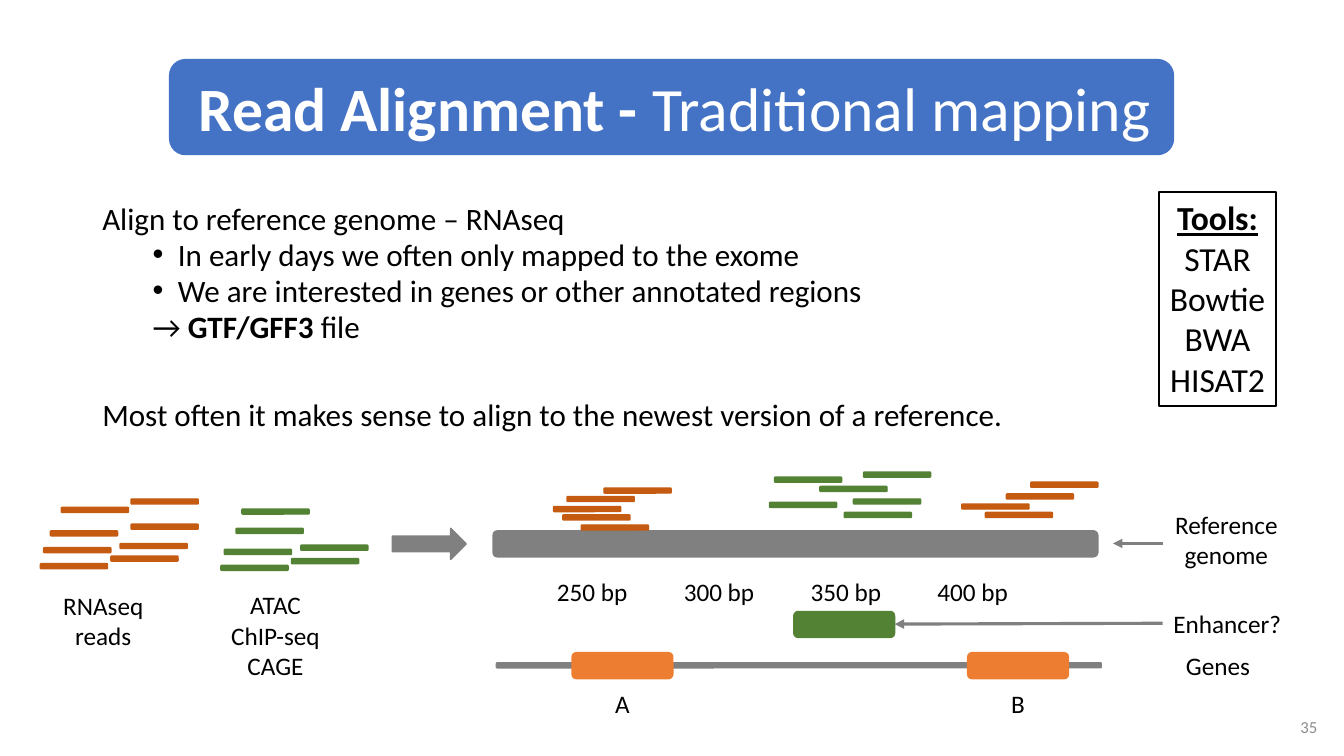
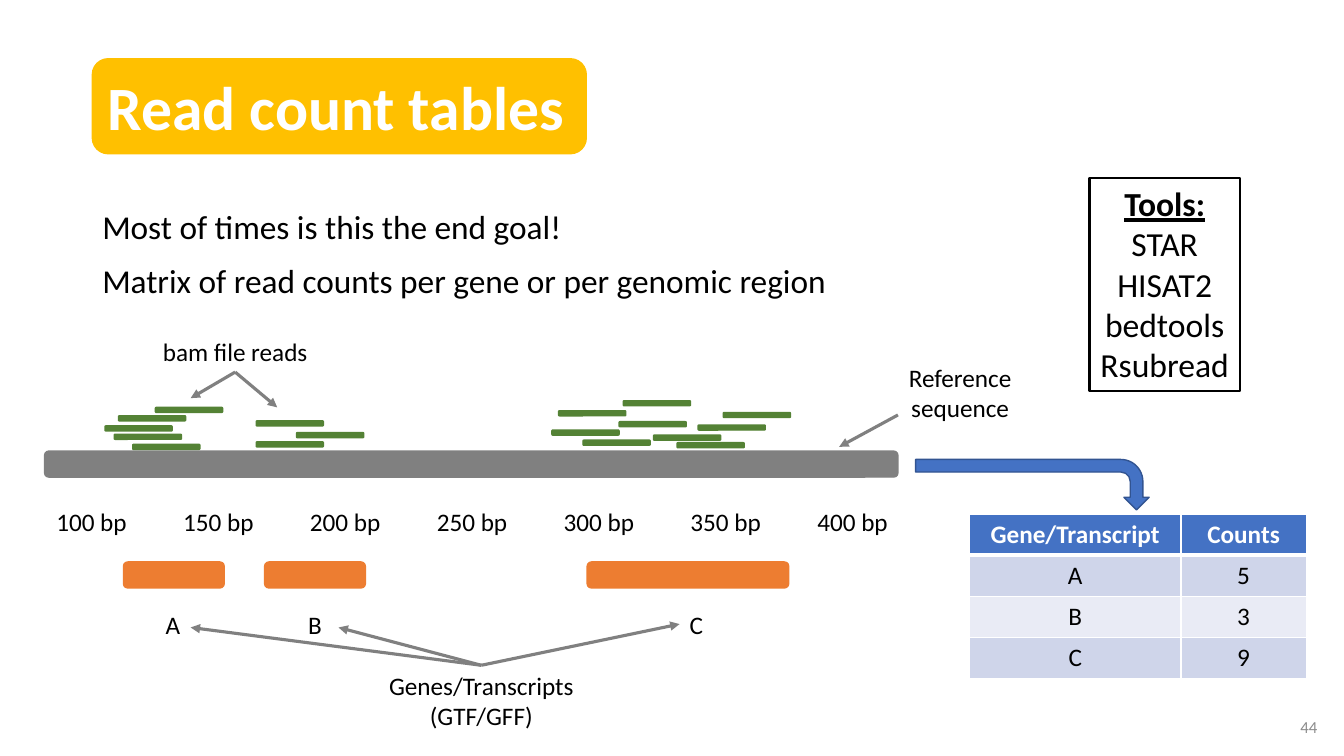
import pptx
import pptx.dml.color
import pptx.enum.shapes
import pptx.enum.text
import pptx.oxml.ns
import pptx.util
from lxml import etree

SHAPE = pptx.enum.shapes.MSO_SHAPE
ALIGN = pptx.enum.text.PP_ALIGN
ANCHOR = pptx.enum.text.MSO_ANCHOR
qn = pptx.oxml.ns.qn
Pt = pptx.util.Pt

# The slide is a grid of 160 x 90 square cells.
WIDTH, HEIGHT = pptx.util.Inches(13.333), pptx.util.Inches(7.5)
CELL = HEIGHT / 90

FONT = "Calibri"
COLOURS = {
    "black": "000000", "white": "FFFFFF", "page": "8C8C8C", "grey": "808080",
    "blue": "4472C4", "blue_edge": "325491", "yellow": "FFC000",
    "rna": "C55A11", "green": "548235", "gene": "ED7D31",
    "odd_row": "CFD5EA", "even_row": "E9EBF5",
}

BAR_HEIGHT = 3.1
GENE_WIDTH = 12
READ_SIZE = (8, 0.6)
TICK_PITCH = 15.1
STACK = [(0, 2.2), (1.6, 1), (1.1, 3.2), (3.3, 4.4), (6, 0)]


def cells(*counts):
    return [round(count * CELL) for count in counts]


def rgb(name):
    return pptx.dml.color.RGBColor.from_string(COLOURS[name])


def set_format(target, values):
    for attribute, value in values.items():
        setattr(target, attribute, value)


def add_run(paragraph, text, size, colour="black", **style):
    run = paragraph.add_run()
    run.text = text
    set_format(run.font, {"name": FONT, "size": Pt(size), **style})
    run.font.color.rgb = rgb(colour)


def write_lines(frame, lines, size, align=ALIGN.CENTER, **style):
    for index, line in enumerate(lines):
        paragraph = frame.add_paragraph() if index else frame.paragraphs[0]
        paragraph.alignment = align
        add_run(paragraph, line, size, **style)


def add_block(slide, box, colour, preset=SHAPE.ROUNDED_RECTANGLE, edge=None):
    block = slide.shapes.add_shape(preset, *cells(*box))
    block.shadow.inherit = False
    block.fill.solid()
    block.fill.fore_color.rgb = rgb(colour)
    block.line.color.rgb = rgb(edge or colour)
    block.line.width = Pt(1)
    return block


def add_label(slide, lines, centre, top):
    """Write centred lines around a centre column, from a top row."""
    width = 36
    label = slide.shapes.add_textbox(
        *cells(centre - width / 2, top, width, 1.2 + 3.65 * len(lines)))
    label.text_frame.word_wrap = True
    write_lines(label.text_frame, lines, 18)


def add_arrow(slide, start, end):
    arrow = slide.shapes.add_connector(
        pptx.enum.shapes.MSO_CONNECTOR.STRAIGHT, *cells(*start, *end))
    arrow.line.color.rgb = rgb("grey")
    arrow.line.width = Pt(2.25)
    etree.SubElement(arrow.line._get_or_add_ln(), qn("a:tailEnd"), type="triangle")
    etree.SubElement(arrow.element.spPr, qn("a:effectLst"))


def add_reads(slide, left, top, offsets, colour):
    for across, down in offsets:
        add_block(slide, (left + across, top + down, *READ_SIZE), colour)


def add_scale(slide, centre, top, positions):
    for index, position in enumerate(positions):
        add_label(slide, [f"{position} bp"], centre + index * TICK_PITCH, top)


def add_title(slide, box, colour, pad, parts):
    """Set the title, given as (text, bold) parts, on a rounded plate."""
    title = slide.shapes.title
    plate = add_block(slide, box, colour)
    title.element.addprevious(plate.element)
    set_format(title, dict(zip(("left", "top", "width", "height"), cells(*box))))
    set_format(title.text_frame, {
        "word_wrap": True, "vertical_anchor": ANCHOR.MIDDLE,
        "auto_size": pptx.enum.text.MSO_AUTO_SIZE.NONE,
        "margin_left": cells(pad)[0], "margin_right": 0})
    paragraph = title.text_frame.paragraphs[0]
    paragraph.alignment = ALIGN.LEFT
    for text, bold in parts:
        add_run(paragraph, text, 44, "white", bold=bold)


def add_page_number(slide, number):
    page = slide.shapes.add_textbox(*cells(122, 84.1, 36, 4.8))
    page.text_frame.vertical_anchor = ANCHOR.MIDDLE
    page.text_frame.word_wrap = True
    write_lines(page.text_frame, [number], 12, ALIGN.RIGHT, colour="page")


def add_tools(slide, box, names):
    tools = add_block(slide, box, "black", SHAPE.RECTANGLE)
    tools.fill.background()
    tools.line.width = Pt(1.5)
    frame = tools.text_frame
    set_format(frame, {"word_wrap": False, "vertical_anchor": ANCHOR.TOP})
    write_lines(frame, ["Tools:", *names], 24)
    set_format(frame.paragraphs[0].runs[0].font, {"bold": True, "underline": True})


def add_body(slide, box, size, spacing, paragraphs):
    """Write (parts, space before, left margin, bulleted) paragraphs."""
    frame = slide.shapes.add_textbox(*cells(*box)).text_frame
    frame.word_wrap = True
    for index, (parts, before, margin, bulleted) in enumerate(paragraphs):
        paragraph = frame.add_paragraph() if index else frame.paragraphs[0]
        set_format(paragraph, {"alignment": ALIGN.LEFT, "line_spacing": spacing})
        if before:
            paragraph.space_before = Pt(before)
        properties = paragraph._p.get_or_add_pPr()
        properties.set("marL", str(cells(margin)[0]))
        if bulleted:
            properties.set("indent", str(cells(-3)[0]))
            etree.SubElement(properties, qn("a:buFont"), typeface="Arial")
            etree.SubElement(properties, qn("a:buChar"), char="•")
        for text, bold in parts:
            add_run(paragraph, text, size, bold=bold)


def add_sample(slide, left, top, offsets, colour, lines, centre, below):
    """Scatter the reads of one assay and name it underneath."""
    add_reads(slide, left, top, offsets, colour)
    add_label(slide, lines, left + centre, top + below)


def add_mapped_genome(slide, left, top):
    def at(across, down):
        return left + across, top + down

    add_block(slide, (*at(0.4, 22.7), 72, 0.6), "grey")
    add_block(slide, (*at(0, 7), 72, BAR_HEIGHT), "grey")
    for gene, across in (("A", 9.4), ("B", 56.5)):
        add_block(slide, (*at(across, 21.5), GENE_WIDTH, BAR_HEIGHT), "gene")
        add_label(slide, [gene], *at(across + GENE_WIDTH / 2, 25.1))
    add_block(slide, (*at(35.8, 16.6), GENE_WIDTH, BAR_HEIGHT), "green")
    add_scale(slide, *at(11.8, 11.8), range(250, 401, 50))

    add_reads(slide, *at(7.2, 1.9), STACK, "rna")
    add_reads(slide, *at(55.8, 1.2),
              [(0, 2.6), (8.2, 0), (5.3, 1.4), (2.8, 3.6)], "rna")
    add_reads(slide, *at(32.9, 0),
              [(8.9, 4.8), (0, 3.6), (0.6, 0.6), (6, 1.7), (10, 3.2), (11.2, 0)],
              "green")

    for lines, centre, down in ((["Reference", "genome"], 87.3, 3.8),
                                (["Enhancer?"], 87.4, 15.6),
                                (["Genes"], 86.3, 20.6)):
        add_label(slide, lines, *at(centre, down))
    add_arrow(slide, at(79.8, 8.5), at(73.8, 8.5))
    add_arrow(slide, at(79.7, 18), at(47.8, 18.1))


def add_counted_genome(slide, left, top):
    def at(across, down):
        return left + across, top + down

    add_block(slide, (*at(0, 14.3), 101.6, BAR_HEIGHT), "grey")
    for gene, across, width, centre in (("A", 9.4, GENE_WIDTH, 15.3),
                                        ("B", 26.2, GENE_WIDTH, 32.2),
                                        ("C", 64.6, 2 * GENE_WIDTH, 77.6)):
        add_block(slide, (*at(across, 27.5), width, BAR_HEIGHT), "gene")
        add_label(slide, [gene], *at(centre, 32.6))
    add_scale(slide, *at(5.6, 20.3), range(100, 401, 50))

    add_reads(slide, *at(7.2, 9.1), STACK, "green")
    add_reads(slide, *at(25.2, 10.7), [(0, 2.5), (4.8, 1.4), (0, 0)], "green")
    add_reads(slide, *at(60.4, 8.3),
              [(3.7, 4.7), (12.1, 4.1), (8.5, 0), (0.8, 1.2), (20.4, 1.4),
               (0, 3.5), (8, 2.5), (17.4, 2.9), (14.9, 5)], "green")

    for lines, centre, down in ((["bam file reads"], 22.7, 0),
                                (["Reference", "sequence"], 109, 3.1),
                                (["Genes/Transcripts (GTF/GFF)"], 52, 39.8)):
        add_label(slide, lines, *at(centre, down))
    for start, ends in (((22.7, 4.9), [(27.7, 9.1), (17.4, 8)]),
                        ((101.6, 10), [(94.6, 13.8)]),
                        ((52, 39.8), [(17.4, 35.3), (35, 35.3), (75.6, 34.9)])):
        for end in ends:
            add_arrow(slide, at(*start), at(*end))


def add_cell_borders(cell, bottom):
    properties = cell._tc.get_or_add_tcPr()
    sides = (("a:lnL", 1), ("a:lnR", 1), ("a:lnT", 1), ("a:lnB", bottom))
    for index, (side, width) in enumerate(sides):
        border = etree.Element(qn(side), w=str(Pt(width)))
        fill = etree.SubElement(border, qn("a:solidFill"))
        etree.SubElement(fill, qn("a:srgbClr"), val=COLOURS["white"])
        properties.insert(index, border)


def add_count_table(slide, left, top):
    rows = [("Gene/Transcript", "Counts"), ("A", "5"), ("B", "3"), ("C", "9")]
    columns, row_height = (25.2, 14.9), 4.9
    table = slide.shapes.add_table(
        len(rows), len(columns),
        *cells(left, top, sum(columns), row_height * len(rows))).table
    for column, width in zip(table.columns, cells(*columns)):
        column.width = width
    for index, values in enumerate(rows):
        header = index == 0
        fill = "blue" if header else "odd_row" if index % 2 else "even_row"
        for cell, value in zip(table.rows[index].cells, values):
            cell.fill.solid()
            cell.fill.fore_color.rgb = rgb(fill)
            write_lines(cell.text_frame, [value], 18, bold=header,
                        colour="white" if header else "black")
            add_cell_borders(cell, 3 if header else 1)


def build_alignment(slide):
    add_title(slide, (20.2, 7.1, 119.5, 11.3), "blue", 3.4,
              [("Read Alignment -", True), (" Traditional mapping", False)])
    add_body(slide, (11, 24, 119.8, 29.4), 22.2, 0.8, [
        ([("Align to reference genome – RNAseq", False)], 0, 0, False),
        ([("In early days we often only mapped to the exome", False)], 4.5, 9, True),
        ([("We are interested in genes or other annotated regions", False)],
         4.5, 9, True),
        ([("→ ", False), ("GTF/GFF3 ", True), ("file", False)], 4.5, 6, False),
        ([("Most often it makes sense to align to the newest version of a "
           "reference.", False)], 41, 0, False)])
    add_tools(slide, (138, 22.9, 13.9, 25.4), ["STAR", "Bowtie", "BWA", "HISAT2"])
    add_sample(slide, 4.8, 59.4,
               [(8.4, 6.8), (0.4, 5.8), (0, 7.7), (10.8, 0), (9.5, 5.3),
                (1.2, 3.8), (10.8, 3), (2.5, 1)],
               "rna", ["RNAseq", "reads"], 7.5, 10.3)
    add_sample(slide, 26.3, 60.6,
               [(8.4, 5.9), (0.4, 4.8), (0, 6.7), (1.8, 2.3), (9.5, 4.3), (2.5, 0)],
               "green", ["ATAC", "ChIP-seq", "CAGE"], 6.5, 9)
    add_block(slide, (46.7, 62.9, 8.8, 3.7), "grey", SHAPE.RIGHT_ARROW)
    add_mapped_genome(slide, 58.7, 56.2)
    add_page_number(slide, "35")


def build_counts(slide):
    add_title(slide, (11, 7, 58.8, 11.3), "yellow", 1.8, [("Read count tables", True)])
    add_body(slide, (11, 24, 138, 12.6), 23.8, 1.0, [
        ([("Most of times is this the end goal!", False)], 0, 0, False),
        ([("Matrix of read counts per gene or per genomic region", False)],
         10, 0, False)])
    add_tools(slide, (129.7, 21.2, 17.9, 25.4),
              ["STAR", "HISAT2", "bedtools", "Rsubread"])
    add_counted_genome(slide, 5.3, 39.4)
    to_table = add_block(slide, (119.9, 43.8, 6, 27.8), "blue",
                         SHAPE.BENT_ARROW, "blue_edge")
    to_table.rotation = 90
    add_count_table(slide, 115.4, 61.2)
    add_page_number(slide, "44")


def main():
    deck = pptx.Presentation()
    set_format(deck, {"slide_width": WIDTH, "slide_height": HEIGHT})
    title_only = deck.slide_layouts[5]
    for build in (build_alignment, build_counts):
        build(deck.slides.add_slide(title_only))
    deck.save("out.pptx")


if __name__ == "__main__":
    main()
